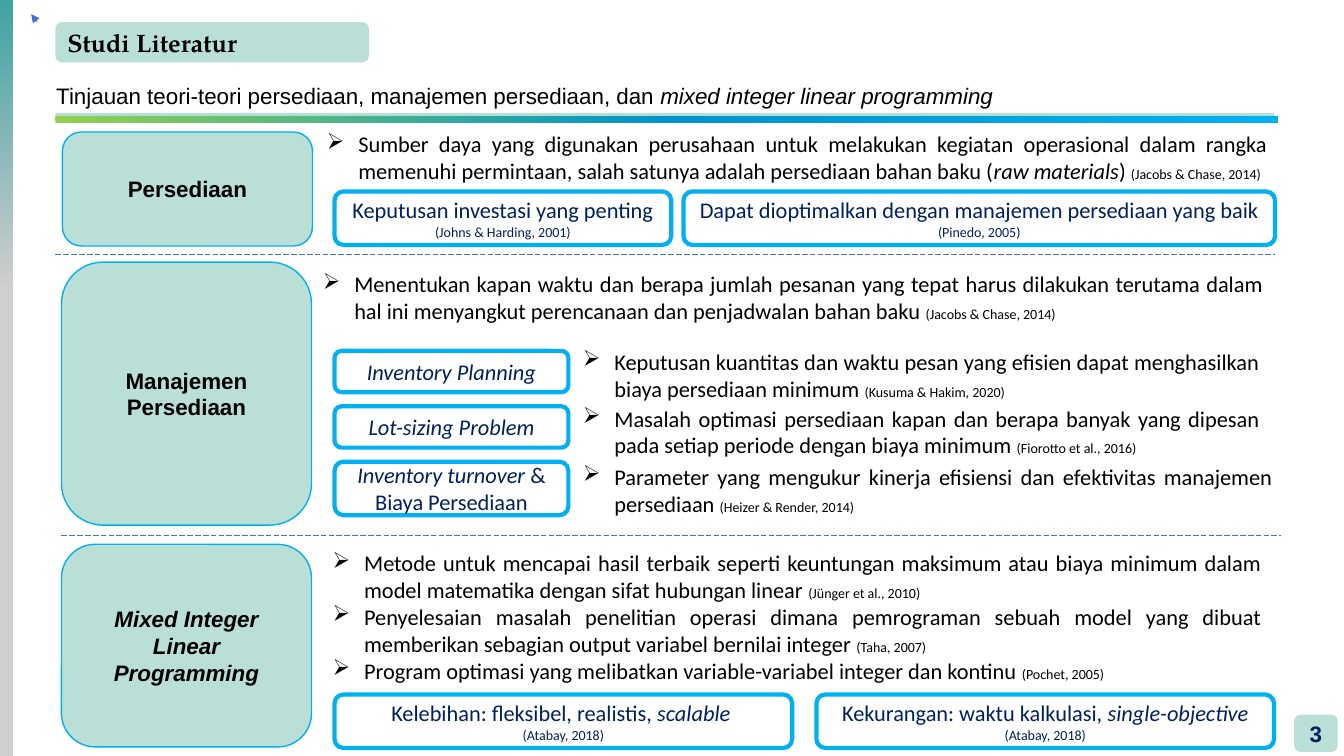
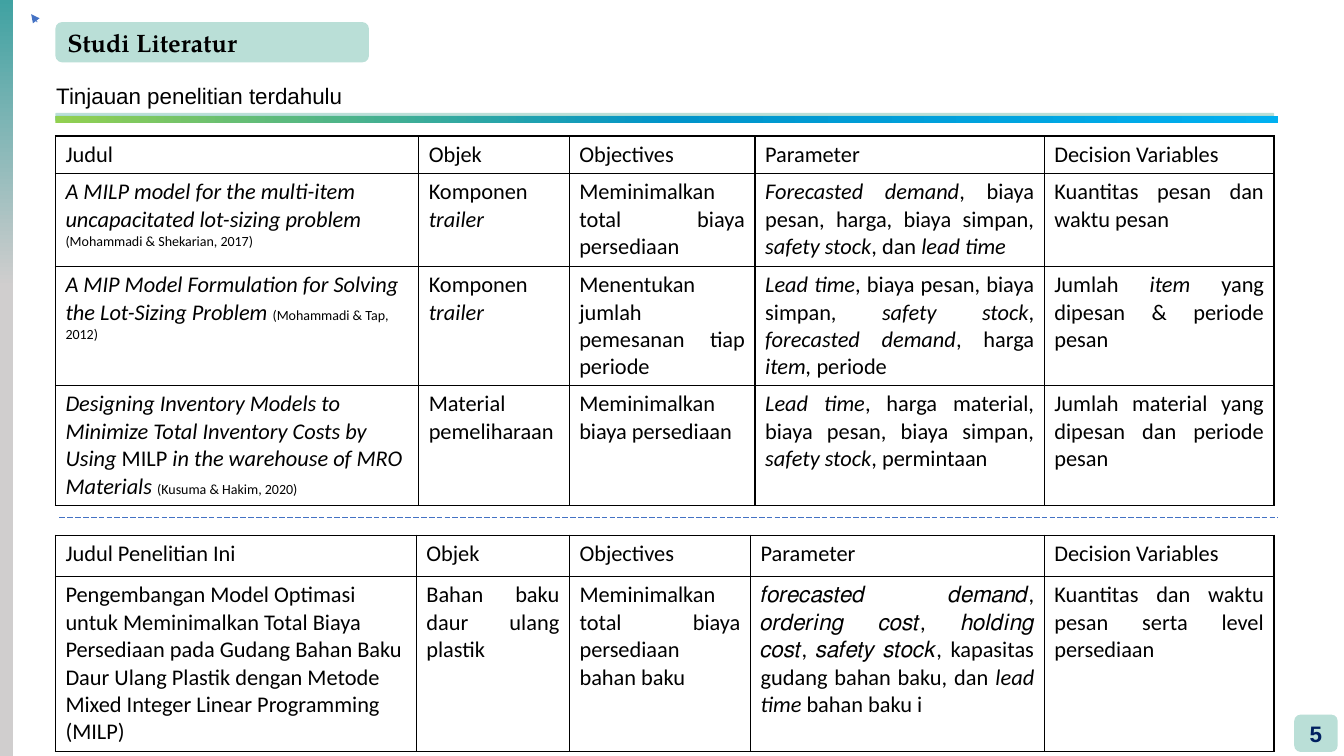
"""Build two literature study slides: theory overview and earlier research."""
from copy import deepcopy
from dataclasses import dataclass

from pptx import Presentation
from pptx.dml.color import RGBColor
from pptx.enum.dml import MSO_LINE
from pptx.enum.shapes import MSO_CONNECTOR, MSO_SHAPE
from pptx.enum.text import MSO_ANCHOR, PP_ALIGN
from pptx.oxml import parse_xml
from pptx.oxml.ns import nsdecls, qn
from pptx.oxml.xmlchemy import OxmlElement
from pptx.slide import Slide
from pptx.util import Pt

ROUND, RECT = MSO_SHAPE.ROUNDED_RECTANGLE, MSO_SHAPE.RECTANGLE
LEFT, MID, JUST = PP_ALIGN.LEFT, PP_ALIGN.CENTER, PP_ALIGN.JUSTIFY
TOP, CENTER = MSO_ANCHOR.TOP, MSO_ANCHOR.MIDDLE
STRAIGHT, DASH = MSO_CONNECTOR.STRAIGHT, MSO_LINE.LONG_DASH

COLORS = {
    "mint": "BADFD7", "teal": "54B9B9", "sky": "00B0F0", "lime": "92D050",
    "ocean": "0094CA", "sea": "40A2A2", "gray": "D0CECE", "blue": "4472C4",
    "navy": "002060", "black": "000000", "white": "FFFFFF",
}
BODY = {"name": "Calibri", "size": Pt(16)}
HEAD = {"name": "TeX Gyre Pagella", "size": Pt(18), "bold": True}
LEAD = {"name": "Arial", "size": Pt(16)}
LABEL = LEAD | {"bold": True}
CITE = Pt(10)
EDGE = 39.6
INDENT = 22.5


@dataclass(frozen=True)
class Box:
    """Place of a shape in points."""
    left: float
    top: float
    width: float
    height: float

    def args(self) -> tuple:
        """Return the four lengths."""
        return Pt(self.left), Pt(self.top), Pt(self.width), Pt(self.height)


@dataclass(frozen=True)
class Look:
    """Fill, outline and text style of a shape."""
    fill: str | None = None
    line: str | None = None
    weight: float = 1
    font: dict | None = None
    ink: str = "black"
    align: PP_ALIGN = MID
    anchor: MSO_ANCHOR = CENTER
    bullet: bool = False


@dataclass(frozen=True)
class Item:
    """Shape with its paragraphs."""
    box: Box
    look: Look
    lines: tuple


@dataclass(frozen=True)
class Grid:
    """Table with column widths and row heights."""
    top: float
    cols: tuple
    rows: tuple
    cells: tuple


TITLE = Look("mint", font=HEAD, align=LEFT)
PAGE = Look("mint", font=LABEL, ink="navy")
TOPIC = Look("mint", "sky", font=LABEL)
CARD = Look("white", "sky", 3, BODY, "navy")
NOTE = Look(font=BODY, align=JUST, anchor=TOP, bullet=True)


def rgb(name: str) -> RGBColor:
    """Look up a colour."""
    return RGBColor.from_string(COLORS[name])


def write(para, text: str, font: dict, ink: str, align: PP_ALIGN) -> None:
    """Fill a paragraph; stars mark italics and a bar starts the citation."""
    para.alignment = align
    main, _, cite = text.partition("|")
    parts = [(part, {"italic": n % 2 == 1}) for n, part in enumerate(main.split("*"))]
    parts.append((cite, {"size": CITE}))
    for part, extra in parts:
        if part:
            run = para.add_run()
            run.text = part
            for key, value in (font | extra).items():
                setattr(run.font, key, value)
            run.font.color.rgb = rgb(ink)


def add_bullet(para) -> None:
    """Give a paragraph an arrow bullet with a hanging indent."""
    props = para._p.get_or_add_pPr()
    props.set("marL", str(Pt(INDENT)))
    props.set("indent", str(-Pt(INDENT)))
    mark = OxmlElement("a:buChar")
    mark.set("char", "➢")
    props.append(mark)


def add_box(slide: Slide, box: Box, look: Look, lines: tuple = (), kind: MSO_SHAPE = ROUND):
    """Draw a shape with text."""
    shape = slide.shapes.add_shape(kind, *box.args())
    shape.shadow.inherit = False
    if look.fill:
        shape.fill.solid()
        shape.fill.fore_color.rgb = rgb(look.fill)
    else:
        shape.fill.background()
    if look.line:
        shape.line.color.rgb = rgb(look.line)
        shape.line.width = Pt(look.weight)
    else:
        shape.line.fill.background()
    frame = shape.text_frame
    frame.word_wrap = True
    frame.vertical_anchor = look.anchor
    for n, text in enumerate(lines):
        para = frame.add_paragraph() if n else frame.paragraphs[0]
        if look.bullet:
            add_bullet(para)
        write(para, text, look.font, look.ink, look.align)
    return shape


def add_fade(slide: Slide, box: Box, stops: tuple, angle: float) -> None:
    """Draw a band with a gradient."""
    shape = add_box(slide, box, Look(), kind=RECT)
    shape.fill.gradient()
    shape.fill.gradient_angle = angle
    chain = shape._element.spPr.find(qn("a:gradFill")).find(qn("a:gsLst"))
    for _ in stops[2:]:
        chain.append(deepcopy(chain[0]))
    for stop, (place, name) in zip(shape.fill.gradient_stops, stops):
        stop.position = place
        stop.color.rgb = rgb(name)


def add_line(slide: Slide, start: tuple, end: tuple, arrow: bool = False) -> None:
    """Draw a dashed rule or a small arrow."""
    line = slide.shapes.add_connector(STRAIGHT, *map(Pt, start + end))
    line.line.color.rgb = rgb("blue")
    line.line.width = Pt(0.5)
    if arrow:
        tip = OxmlElement("a:tailEnd")
        tip.set("type", "triangle")
        line.line._get_or_add_ln().append(tip)
    else:
        line.line.dash_style = DASH
    line._element.spPr.append(OxmlElement("a:effectLst"))


def add_grid(slide: Slide, grid: Grid) -> None:
    """Draw a table with thin black borders."""
    box = Box(EDGE, grid.top, sum(grid.cols), sum(grid.rows))
    table = slide.shapes.add_table(len(grid.rows), len(grid.cols), *box.args()).table
    table.first_row = table.horz_banding = False
    for col, width in zip(table.columns, grid.cols):
        col.width = Pt(width)
    for r, (row, height) in enumerate(zip(table.rows, grid.rows)):
        row.height = Pt(height)
        for c, cell in enumerate(row.cells):
            align = JUST if r and c else LEFT
            write(cell.text_frame.paragraphs[0], grid.cells[r][c], BODY, "black", align)
            cell.fill.background()
            props = cell._tc.get_or_add_tcPr()
            for n, side in enumerate("LRTB"):
                props.insert(n, parse_xml(
                    f'<a:ln{side} {nsdecls("a")} w="{Pt(1)}"><a:solidFill>'
                    f'<a:srgbClr val="{COLORS["black"]}"/></a:solidFill></a:ln{side}>'))


def add_base(deck, lead: str, page: str) -> Slide:
    """Add a slide with title, lead line, bands and page number."""
    slide = deck.slides.add_slide(deck.slide_layouts[6])
    add_box(slide, Box(EDGE, 15.8, 224, 28.8), TITLE, ("Studi Literatur",))
    for top, fill in ((80.6, "mint"), (82.8, "teal")):
        add_box(slide, Box(EDGE, top, 870.5, 3.6), Look(fill))
    text = slide.shapes.add_textbox(*Box(33.1, 57.6, 908, 28.8).args()).text_frame
    text.word_wrap = True
    text.paragraphs[0].line_spacing = 0.9
    write(text.paragraphs[0], lead, LEAD, "black", LEFT)
    add_box(slide, Box(924.5, 510.5, 31, 26.6), PAGE, (page,))
    add_fade(slide, Box(EDGE, 82.6, 873.4, 5), ((0, "lime"), (0.5, "ocean"), (1, "sky")), 0)
    add_line(slide, (26.6, 15.8), (22.3, 10.1), arrow=True)
    add_fade(slide, Box(0, 0, 9.6, 540), ((0, "sea"), (0.38, "gray")), 270)
    return slide


THEORY = (
    Item(Box(44.6, 94.3, 178.6, 81.4), TOPIC, ("Persediaan",)),
    Item(Box(43.9, 187.2, 178.6, 187.9), TOPIC, ("Manajemen Persediaan",)),
    Item(Box(43.9, 388.8, 178.6, 144.7), TOPIC, ("*Mixed Integer Linear Programming*",)),
    Item(Box(223.9, 382.3, 691.2, 136.8), NOTE, (
        "Metode untuk mencapai hasil terbaik seperti keuntungan maksimum atau biaya minimum "
        "dalam model matematika dengan sifat hubungan linear |(Jünger et al., 2010)",
        "Penyelesaian masalah penelitian operasi dimana pemrograman sebuah model yang dibuat "
        "memberikan sebagian output variabel bernilai integer |(Taha, 2007)",
        "Program optimasi yang melibatkan variable-variabel integer dan kontinu |(Pochet, 2005)")),
    Item(Box(239, 496.1, 326.9, 38.2), CARD,
         ("Kelebihan: fleksibel, realistis, *scalable *", "|(Atabay, 2018)")),
    Item(Box(583.2, 496.1, 326.9, 38.2), CARD,
         ("Kekurangan: waktu kalkulasi, *single-objective*", "|(Atabay, 2018)")),
    Item(Box(239, 136.8, 240.5, 38.2), CARD,
         ("Keputusan investasi yang penting", "|(Johns & Harding, 2001)")),
    Item(Box(488.2, 136.8, 422.6, 38.2), CARD,
         ("Dapat dioptimalkan dengan manajemen persediaan yang baik", "|(Pinedo, 2005)")),
    Item(Box(223.9, 87.1, 691.2, 51.1), NOTE, (
        "Sumber daya yang digunakan perusahaan untuk melakukan kegiatan operasional dalam rangka "
        "memenuhi permintaan, salah satunya adalah persediaan bahan baku (*raw materials*) "
        "|(Jacobs & Chase, 2014)",)),
    Item(Box(221, 187.2, 691.2, 51.1), NOTE, (
        "Menentukan kapan waktu dan berapa jumlah pesanan yang tepat harus dilakukan terutama "
        "dalam hal ini menyangkut perencanaan dan penjadwalan bahan baku |(Jacobs & Chase, 2014)",)),
    Item(Box(239, 250.6, 167, 29.5), CARD, ("*Inventory Planning*",)),
    Item(Box(239, 290.2, 167, 29.5), CARD, ("*Lot-sizing Problem*",)),
    Item(Box(239, 329.8, 167, 38.2), CARD, ("*Inventory turnover *& Biaya Persediaan",)),
    Item(Box(406.8, 242.6, 502.6, 51.1), NOTE, (
        "Keputusan kuantitas dan waktu pesan yang efisien dapat menghasilkan biaya persediaan "
        "minimum |(Kusuma & Hakim, 2020)",)),
    Item(Box(406.8, 283, 502.6, 51.1), NOTE, (
        "Masalah optimasi persediaan kapan dan berapa banyak yang dipesan pada setiap periode "
        "dengan biaya minimum |(Fiorotto et al., 2016)",)),
    Item(Box(406.8, 324.7, 511.9, 51.1), NOTE, (
        "Parameter yang mengukur kinerja efisiensi dan efektivitas manajemen persediaan "
        "|(Heizer & Render, 2014)",)),
)
HEADS = ("Objek", "Objectives", "Parameter", "Decision Variables")
GRIDS = (
    Grid(97.2, (259.5, 107.5, 132.8, 206.6, 164.1), (26.6, 66.4, 85.2, 85.6), (
        ("Judul", *HEADS),
        ("*A MILP model for the multi-item uncapacitated lot-sizing problem *"
         "|(Mohammadi & Shekarian, 2017)",
         "Komponen *trailer*", "Meminimalkan total biaya persediaan ",
         "*Forecasted demand*, biaya pesan, harga, biaya simpan, *safety stock*, dan *lead time *",
         "Kuantitas pesan dan waktu pesan"),
        ("*A MIP Model Formulation for Solving the Lot-Sizing Problem *|(Mohammadi & Tap, 2012)",
         "Komponen *trailer*", "Menentukan jumlah pemesanan tiap periode",
         "*Lead time*, biaya pesan, biaya simpan, *safety stock*, *forecasted demand*, "
         "harga *item, *periode",
         "Jumlah *item *yang dipesan & periode pesan"),
        ("*Designing Inventory Models to Minimize Total Inventory Costs by Using *MILP "
         "*in the warehouse of MRO Materials *|(Kusuma & Hakim, 2020)",
         "Material pemeliharaan", "Meminimalkan biaya persediaan",
         "*Lead time*, harga material, biaya pesan, biaya simpan, *safety stock*, permintaan",
         "Jumlah material yang dipesan dan periode pesan"))),
    Grid(382.3, (257.8, 109.4, 129.4, 209.8, 164.1), (29.5, 125), (
        ("Judul Penelitian Ini", *HEADS),
        ("Pengembangan Model Optimasi untuk Meminimalkan Total Biaya Persediaan pada Gudang "
         "Bahan Baku Daur Ulang Plastik dengan Metode Mixed Integer Linear Programming (MILP)",
         "Bahan baku daur ulang plastik", "Meminimalkan total biaya persediaan bahan baku",
         "𝑓𝑜𝑟𝑒𝑐𝑎𝑠𝑡𝑒𝑑 𝑑𝑒𝑚𝑎𝑛𝑑, 𝑜𝑟𝑑𝑒𝑟𝑖𝑛𝑔 𝑐𝑜𝑠𝑡, ℎ𝑜𝑙𝑑𝑖𝑛𝑔 𝑐𝑜𝑠𝑡, 𝑠𝑎𝑓𝑒𝑡𝑦 𝑠𝑡𝑜𝑐𝑘, kapasitas gudang "
         "bahan baku, dan *lead time *bahan baku i",
         "Kuantitas dan waktu pesan serta level persediaan"))),
)


def main() -> None:
    """Build and save the deck."""
    deck = Presentation()
    deck.slide_width, deck.slide_height = Pt(960), Pt(540)
    slide = add_base(deck, "Tinjauan teori-teori persediaan, manajemen persediaan, dan "
                           "*mixed integer linear programming*", "3")
    for item in THEORY:
        add_box(slide, item.box, item.look, item.lines)
    for left, top in ((EDGE, 181.4), (43.9, 382.3)):
        add_line(slide, (left, top), (left + 870.8, top))
    slide = add_base(deck, "Tinjauan penelitian terdahulu", "5")
    for grid in GRIDS:
        add_grid(slide, grid)
    add_line(slide, (42.5, 369.4), (913, 369.4))
    deck.save("out.pptx")


if __name__ == "__main__":
    main()
